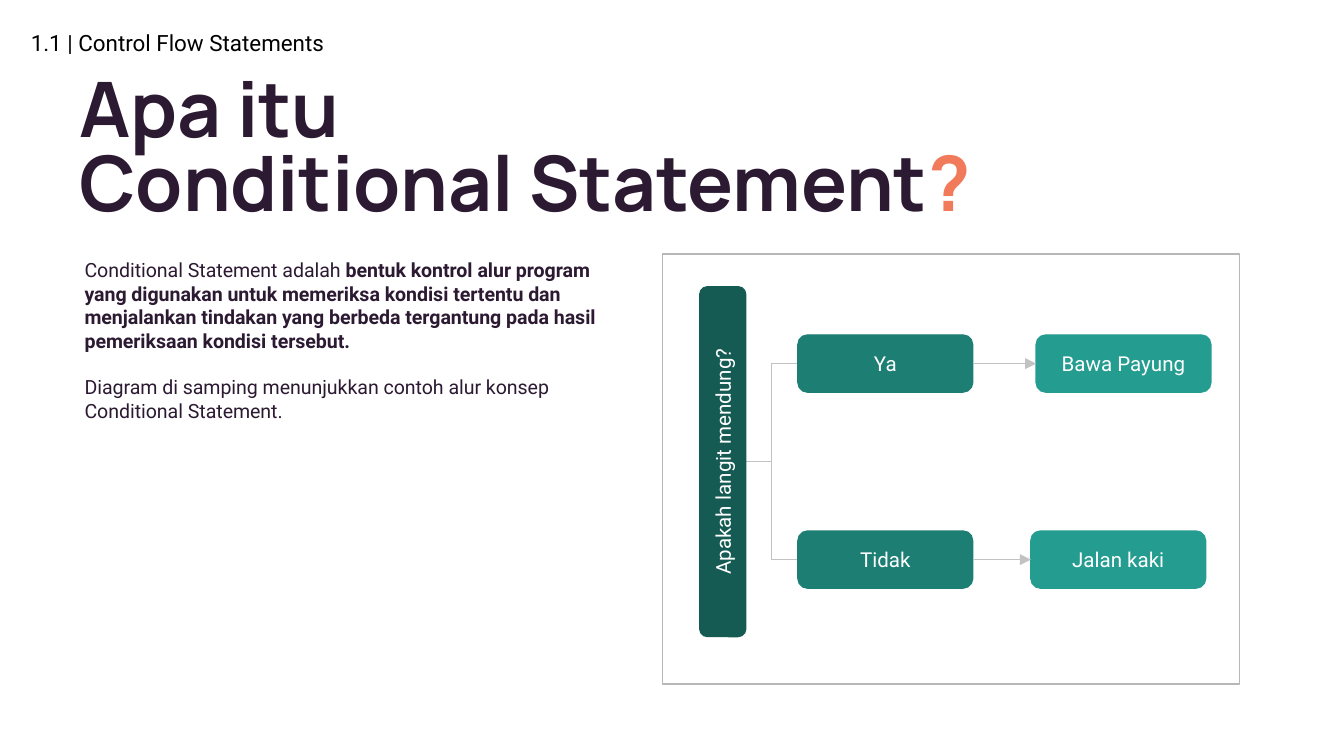
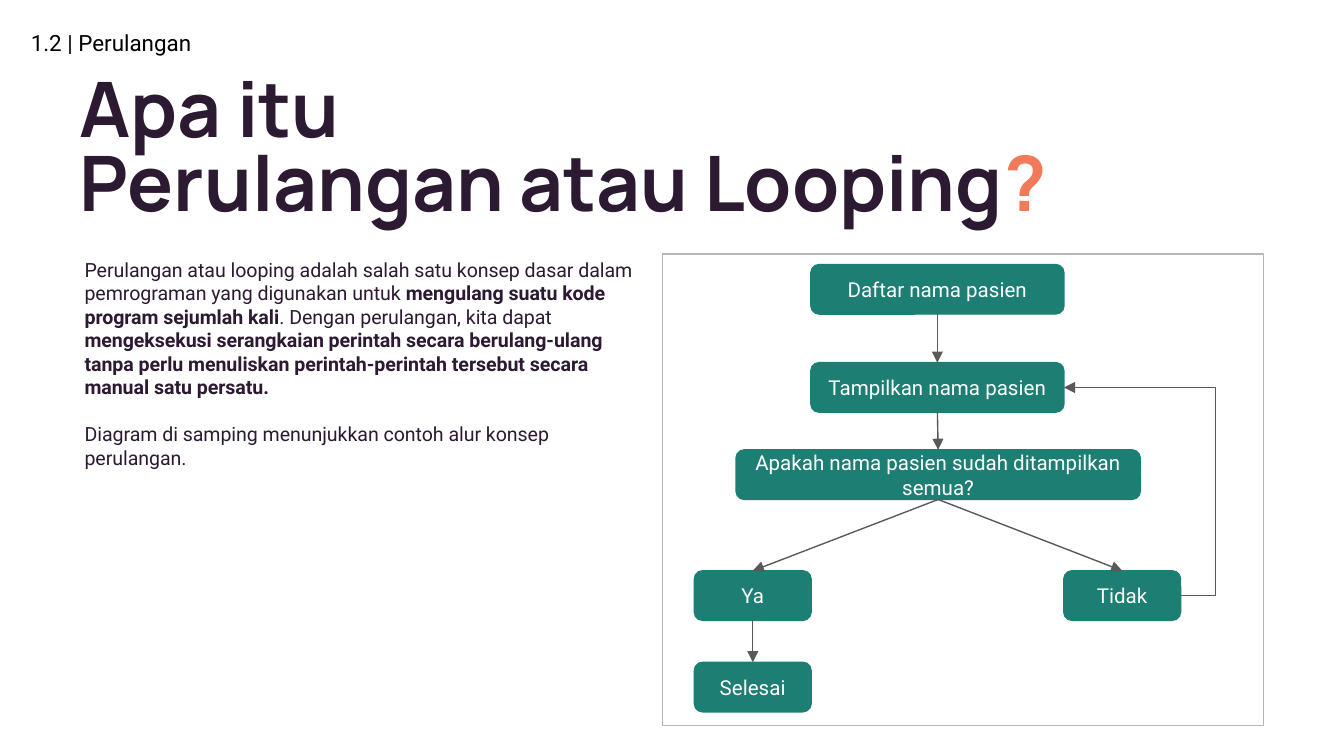
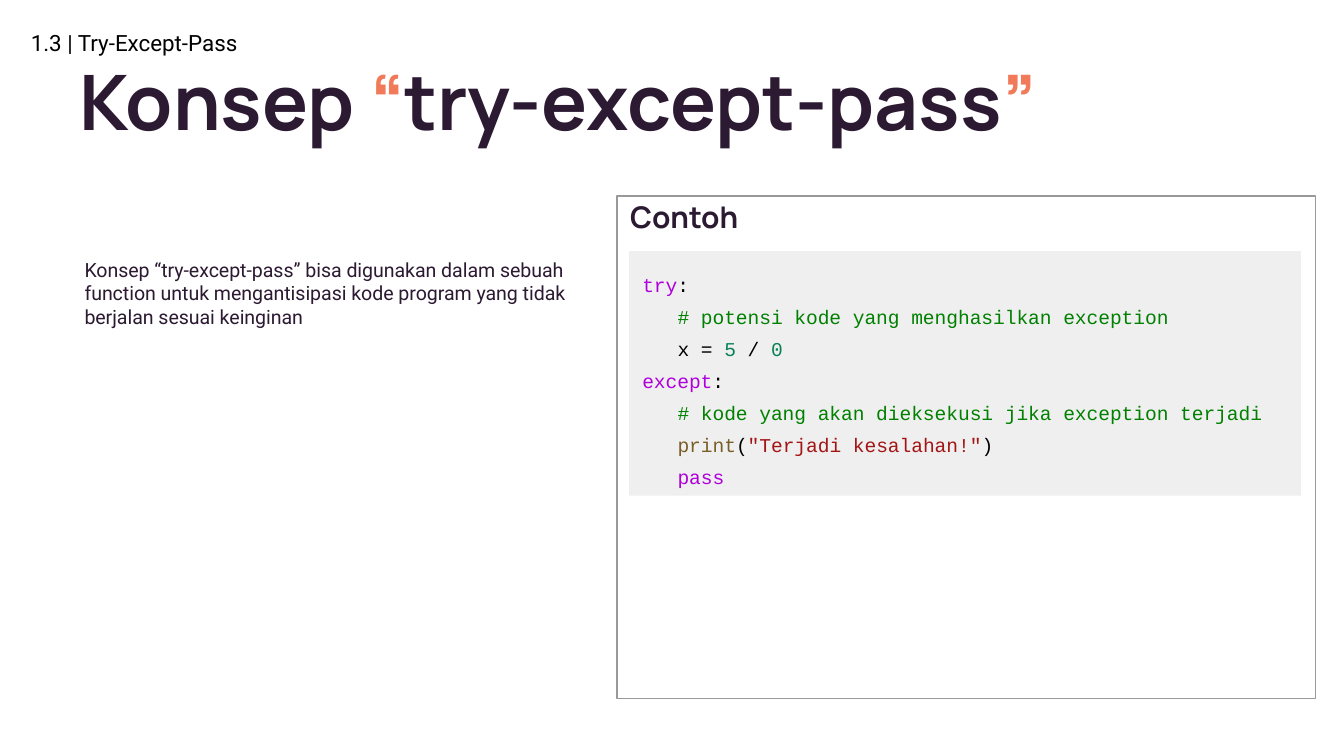
from pptx import Presentation
from pptx.dml.color import RGBColor
from pptx.enum.shapes import MSO_CONNECTOR as CXN, MSO_SHAPE as SHAPE
from pptx.enum.text import MSO_ANCHOR as ANCHOR, MSO_AUTO_SIZE as AUTO, PP_ALIGN as ALIGN
from pptx.oxml.ns import qn
from pptx.util import Pt
from lxml.etree import SubElement

INK = RGBColor(0x2C, 0x1A, 0x32)
ACCENT = RGBColor(0xF0, 0x7A, 0x5A)
BLACK = RGBColor(0, 0, 0)
WHITE = RGBColor(255, 255, 255)
TEAL_DARK = RGBColor(0x15, 0x5B, 0x54)
TEAL = RGBColor(0x1D, 0x7E, 0x74)
TEAL_LIGHT = RGBColor(0x24, 0x9C, 0x90)
PANEL_LINE = RGBColor(0xB7, 0xB7, 0xB7)
EXAMPLE_LINE = RGBColor(0x99, 0x99, 0x99)
TREE_LINE = RGBColor(0xC2, 0xC2, 0xC2)
LOOP_LINE = RGBColor(0x59, 0x59, 0x59)
CODE_BACK = RGBColor(0xEF, 0xEF, 0xEF)
KEYWORD = RGBColor(0xAF, 0x00, 0xDB)
COMMENT = RGBColor(0x00, 0x80, 0x00)
NUMBER = RGBColor(0x09, 0x81, 0x56)
CALL = RGBColor(0x79, 0x5E, 0x26)
STRING = RGBColor(0xA3, 0x15, 0x15)

TITLE = dict(name="Manrope", size=Pt(41), bold=True, color=INK)
HEADING = dict(TITLE, size=Pt(16))
SECTION = dict(name="Roboto", size=Pt(12), color=BLACK)
BODY = dict(name="Roboto", size=Pt(10.5), color=INK)
NODE = dict(name="Roboto", size=Pt(11), color=WHITE)
CODE = dict(name="Courier New", size=Pt(10.5), color=BLACK)
BOLD = dict(bold=True)
MARK = dict(color=ACCENT)
INDENT = 18.9  # three code characters
BREAK = "\n"

# Each paragraph is a list of runs: (text, format overrides).
SLIDES = [
    dict(
        section="1.1 | Control Flow Statements",
        title=[("Apa itu ", {}), (BREAK, {}), ("Conditional Statement", {}), ("?", MARK)],
        title_box=(35.3, 25.2, 547.2, 113),
        body_box=(38.2, 131, 308.9, 116.6),
        body=[
            [("Conditional Statement adalah ", {}),
             ("bentuk kontrol alur program yang digunakan untuk memeriksa kondisi tertentu "
              "dan menjalankan tindakan yang berbeda tergantung pada hasil pemeriksaan "
              "kondisi tersebut.", BOLD)],
            [("Diagram di samping menunjukkan contoh alur konsep Conditional Statement.", {})],
        ],
    ),
    dict(
        section="1.2 | Perulangan",
        title=[("Apa itu ", {}), (BREAK, {}), ("Perulangan atau Looping", {}), ("?", MARK)],
        title_box=(35.3, 25.2, 586, 113),
        body_box=(38.2, 131, 308.9, 141.8),
        body=[
            [("Perulangan atau looping adalah salah satu konsep dasar dalam pemrograman "
              "yang digunakan untuk ", {}),
             ("mengulang suatu kode program sejumlah kali", BOLD),
             (". Dengan perulangan, kita dapat ", {}),
             ("mengeksekusi serangkaian perintah secara berulang-ulang tanpa perlu menuliskan "
              "perintah-perintah tersebut secara manual satu persatu.", BOLD)],
            [("Diagram di samping menunjukkan contoh alur konsep perulangan.", {})],
        ],
    ),
    dict(
        section="1.3 | Try-Except-Pass",
        title=[("Konsep ", {}), ("“", MARK), ("try-except-pass", {}), ("”", MARK)],
        title_box=(35.3, 1.4, 586, 113),
        body_box=(38.2, 131, 275.8, 52.6),
        body=[[("Konsep “try-except-pass” bisa digunakan dalam sebuah function untuk "
                "mengantisipasi kode program yang tidak berjalan sesuai keinginan", {})]],
    ),
]

QUESTION = "Apakah langit mendung?"
# answer, outcome, middle of row, left of outcome
BRANCHES = [("Ya", "Bawa Payung", 194.8, 555.1), ("Tidak", "Jalan kaki", 299.8, 552.3)]

# key: text, centre x, top, width
LOOP_NODES = {
    "list": ("Daftar nama pasien", 502.2, 141.7, 135.6),
    "show": ("Tampilkan nama pasien", 502.2, 194.3, 135.6),
    "check": ("Apakah nama pasien sudah ditampilkan semua?", 502.6, 241, 216.6),
    "yes": ("Ya", 403.3, 305.8, 62.6),
    "no": ("Tidak", 601.2, 305.8, 62.6),
    "done": ("Selesai", 403.3, 354.8, 62.6),
}
LOOP_ARROWS = [("list", "show"), ("show", "check"), ("check", "yes"), ("check", "no"),
               ("yes", "done")]
LOOP_NODE_H = 26.6

# (indent level, runs)
CODE_LINES = [
    (0, [("try", dict(color=KEYWORD)), (":", {})]),
    (1, [("# potensi kode yang menghasilkan exception", dict(color=COMMENT))]),
    (1, [("x = ", {}), ("5", dict(color=NUMBER)), (" / ", {}), ("0", dict(color=NUMBER))]),
    (0, [("except", dict(color=KEYWORD)), (":", {})]),
    (1, [("# kode yang akan dieksekusi jika exception terjadi", dict(color=COMMENT))]),
    (1, [("print", dict(color=CALL)), ("(", {}),
         ('"Terjadi kesalahan!"', dict(color=STRING)), (")", {})]),
    (1, [("pass", dict(color=KEYWORD))]),
]


def pts(*values):
    return [Pt(v) for v in values]


def write(sp, paragraphs, font, anchor=ANCHOR.TOP, **para_format):
    """Fill a shape with paragraphs of runs in one base font."""
    tf = sp.text_frame
    frame = dict(word_wrap=True, auto_size=AUTO.NONE, vertical_anchor=anchor)
    frame.update({f"margin_{side}": Pt(7.2) for side in ("left", "top", "right", "bottom")})
    for name, value in frame.items():
        setattr(tf, name, value)
    for i, runs in enumerate(paragraphs):
        p = tf.add_paragraph() if i else tf.paragraphs[0]
        for name, value in dict(dict(alignment=ALIGN.LEFT), **para_format).items():
            setattr(p, name, value)
        for text, extra in runs:
            if text == BREAK:
                p.add_line_break()
                continue
            r = p.add_run()
            r.text = text
            for name, value in {**font, **extra}.items():
                if name == "color":
                    r.font.color.rgb = value
                else:
                    setattr(r.font, name, value)
    return tf


def add_box(s, box, kind=SHAPE.RECTANGLE, fill=None, line=None):
    sp = s.shapes.add_shape(kind, *pts(*box))
    sp.shadow.inherit = False
    for part, color in ((sp.fill, fill), (sp.line.fill, line)):
        if color is None:
            part.background()
        else:
            part.solid()
            part.fore_color.rgb = color
    if line is not None:
        sp.line.width = Pt(0.75)
    return sp


def add_node(s, text, box, color):
    sp = add_box(s, box, SHAPE.ROUNDED_RECTANGLE, color, color)
    write(sp, [[(text, {})]], NODE, ANCHOR.MIDDLE, alignment=ALIGN.CENTER)
    return sp


def add_line(s, color, ends=(0, 0, 0, 0), kind=CXN.STRAIGHT, arrow=True, bend=None):
    c = s.shapes.add_connector(kind, *pts(*ends))
    c.line.color.rgb = color
    c.line.width = Pt(0.75)
    props = c._element.spPr
    if arrow:
        SubElement(c.line._get_or_add_ln(), qn("a:tailEnd"), type="triangle")
    if bend is not None:
        guides = props.find(qn("a:prstGeom")).get_or_add_avLst()
        SubElement(guides, qn("a:gd"), name="adj1", fmla=f"val {round(bend * 100000)}")
    SubElement(props, qn("a:effectLst"))
    return c


def join(s, start, start_side, end, end_side, color):
    c = add_line(s, color)
    c.begin_connect(start, start_side)
    c.end_connect(end, end_side)


def draw_decision(s):
    add_box(s, (355, 136, 308.9, 230.4), line=PANEL_LINE)
    long, thick, mid_x = 187.4, 24.6, 387.2
    mid_y = sum(b[2] for b in BRANCHES) / len(BRANCHES)
    left, w, h = 427.5, 93.6, 30.6
    for answer, outcome, y, outcome_left in BRANCHES:
        add_line(s, TREE_LINE, (mid_x + thick / 2, mid_y, left, y), CXN.ELBOW, arrow=False)
        a = add_node(s, answer, (left, y - h / 2, w, h), TEAL)
        b = add_node(s, outcome, (outcome_left, y - h / 2, w, h), TEAL_LIGHT)
        join(s, a, 3, b, 1, TREE_LINE)
    sp = add_node(s, QUESTION, (mid_x - long / 2, mid_y - thick / 2, long, thick), TEAL_DARK)
    sp.rotation = 270


def draw_loop(s):
    add_box(s, (355, 136, 321.8, 252.7), line=PANEL_LINE)
    nodes = {key: add_node(s, text, (x - w / 2, top, w, LOOP_NODE_H), TEAL)
             for key, (text, x, top, w) in LOOP_NODES.items()}
    for start, end in LOOP_ARROWS:
        join(s, nodes[start], 2, nodes[end], 0, LOOP_LINE)
    (_, x1, y1, w1), (_, x2, y2, w2) = LOOP_NODES["no"], LOOP_NODES["show"]
    half = LOOP_NODE_H / 2
    add_line(s, LOOP_LINE, (x1 + w1 / 2, y1 + half, x2 + w2 / 2, y2 + half), CXN.ELBOW, bend=-0.3)


def draw_code(s):
    panel = add_box(s, (330.5, 105, 374.4, 269.3), line=EXAMPLE_LINE)
    tf = write(panel, [[("Contoh", {})]], HEADING, line_spacing=0.8)
    tf.margin_top = Pt(5.4)
    code = add_box(s, (337, 134.6, 360, 131), fill=CODE_BACK)
    tf = write(code, [runs for _, runs in CODE_LINES], CODE, line_spacing=1.36)
    for p, (level, _) in zip(tf.paragraphs, CODE_LINES):
        p._p.get_or_add_pPr().set("marL", str(Pt(level * INDENT)))


def add_slide(prs, content):
    s = prs.slides.add_slide(prs.slide_layouts[5])
    title = s.shapes.title
    for name, value in zip(("left", "top", "width", "height"), pts(*content["title_box"])):
        setattr(title, name, value)
    write(title, [content["title"]], TITLE, ANCHOR.MIDDLE, line_spacing=0.8)
    section = s.shapes.add_textbox(*pts(9.4, 5, 253.4, 36))
    write(section, [[(content["section"], {})]], SECTION, ANCHOR.MIDDLE)
    body = s.shapes.add_textbox(*pts(*content["body_box"]))
    write(body, content["body"], BODY, space_after=Pt(12.5))
    return s


def main():
    prs = Presentation()
    prs.slide_width, prs.slide_height = pts(720, 405)
    for content, draw in zip(SLIDES, (draw_decision, draw_loop, draw_code)):
        draw(add_slide(prs, content))
    prs.save("out.pptx")


if __name__ == "__main__":
    main()
